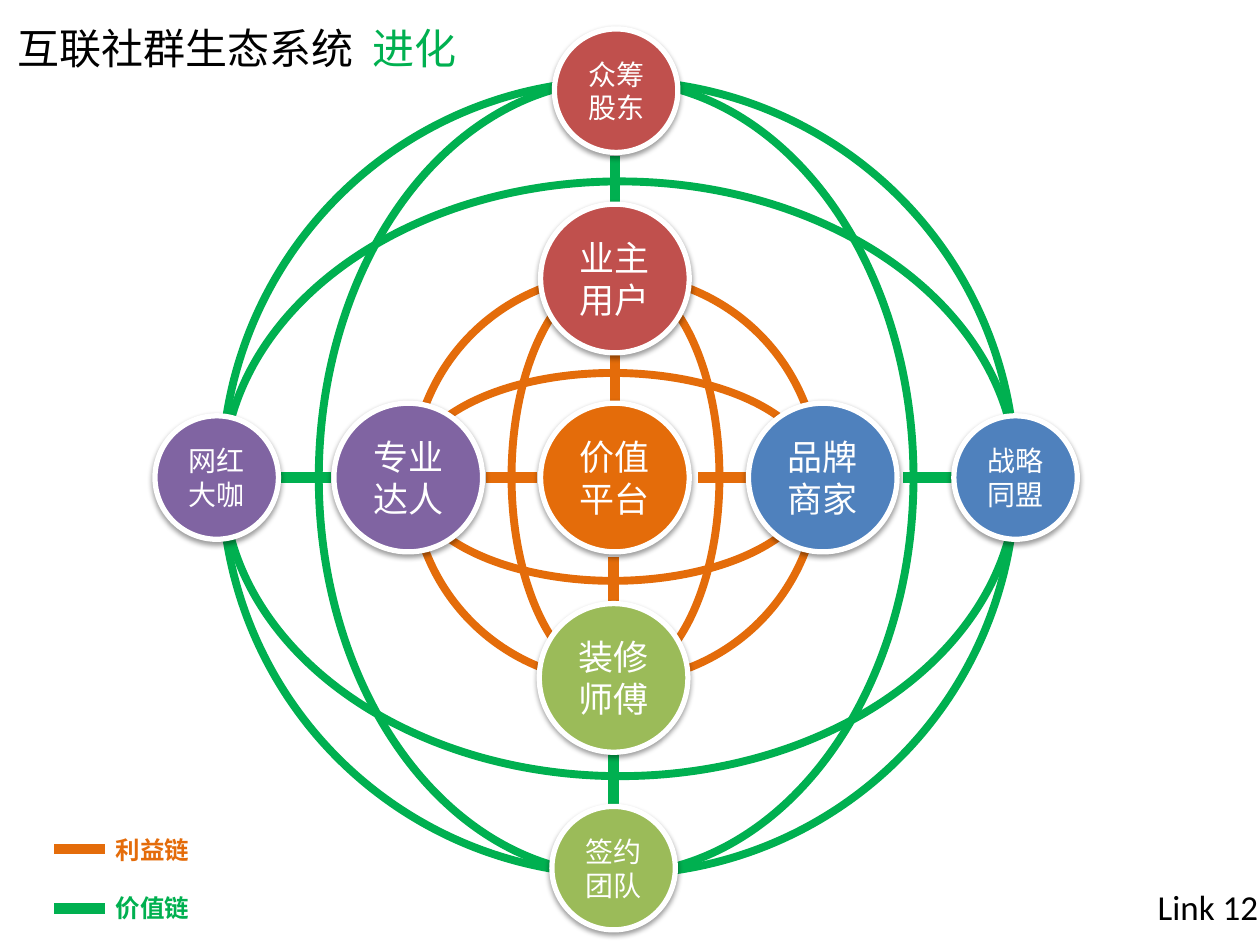
from lxml import etree
from pptx import Presentation
from pptx.dml.color import RGBColor
from pptx.enum.shapes import MSO_CONNECTOR, MSO_SHAPE
from pptx.enum.text import MSO_ANCHOR, MSO_AUTO_SIZE, PP_ALIGN
from pptx.oxml.ns import qn
from pptx.util import Inches, Pt

LINE = MSO_CONNECTOR.STRAIGHT
OVAL = MSO_SHAPE.OVAL
MIDDLE = MSO_ANCHOR.MIDDLE
CENTER = PP_ALIGN.CENTER
GROW = MSO_AUTO_SIZE.SHAPE_TO_FIT_TEXT

BLACK = RGBColor(0x00, 0x00, 0x00)
WHITE = RGBColor(0xFF, 0xFF, 0xFF)
ORANGE = RGBColor(0xE4, 0x6C, 0x0A)
GREEN = RGBColor(0x00, 0xB0, 0x50)
RED = RGBColor(0xC0, 0x50, 0x4D)
LIME = RGBColor(0x9B, 0xBB, 0x59)
PURPLE = RGBColor(0x80, 0x64, 0xA2)
BLUE = RGBColor(0x4F, 0x81, 0xBD)

HAN = "Noto Sans CJK SC"
LATIN = "Calibri"
LINK = 0.4           # length of every short link
BIG, SMALL = 1.18, 0.98  # node diameters

# Left, top, width, height, colour
RINGS = [
    (3.27, 2.18, 3.23, 3.23, ORANGE),
    (4.06, 2.17, 1.65, 3.23, ORANGE),
    (3.25, 2.96, 3.23, 1.65, ORANGE),
    (1.76, 0.64, 6.3, 6.3, GREEN),
    (1.77, 1.44, 6.3, 4.72, GREEN),
    (2.53, 0.64, 4.72, 6.3, GREEN),
]
# Left, top, diameter, text size, fill, text
NODES = [
    (4.29, 3.2, BIG, 20, ORANGE, "价值平台"),
    (4.29, 1.62, BIG, 20, RED, "业主用户"),
    (4.28, 4.79, BIG, 20, LIME, "装修师傅"),
    (2.65, 3.2, BIG, 20, PURPLE, "专业达人"),
    (5.94, 3.2, BIG, 20, BLUE, "品牌商家"),
    (4.4, 0.23, SMALL, 16, RED, "众筹股东"),
    (4.38, 6.4, SMALL, 16, LIME, "签约团队"),
    (7.57, 3.3, SMALL, 16, BLUE, "战略同盟"),
    (1.23, 3.3, SMALL, 16, PURPLE, "网红大咖"),
]
# Start of each link
ACROSS = [(3.86, 3.79, ORANGE), (5.54, 3.79, ORANGE),
          (2.23, 3.79, GREEN), (7.17, 3.79, GREEN)]
DOWN = [(4.88, 2.82, ORANGE), (4.87, 4.42, ORANGE),
        (4.88, 1.24, GREEN), (4.87, 5.99, GREEN)]
# Line height, label top, colour, text
LEGEND = [(6.74, 6.58, ORANGE, "利益链"), (7.21, 7.04, GREEN, "价值链")]


def add_run(para, text, size, color, font=HAN, bold=False):
    run = para.add_run()
    run.text = text
    run.font.size = Pt(size)
    run.font.bold = bold
    run.font.color.rgb = color
    run.font.name = font
    east = etree.SubElement(run.font._element, qn("a:ea"))
    east.set("typeface", font)


def add_label(slide, box, text, size, color, font=HAN, bold=False, wrap=False):
    frame = slide.shapes.add_textbox(*map(Inches, box)).text_frame
    frame.word_wrap = wrap
    frame.auto_size = GROW
    add_run(frame.paragraphs[0], text, size, color, font, bold)


def add_link(slide, x, y, color, dx=0, dy=0):
    link = slide.shapes.add_connector(
        LINE, Inches(x), Inches(y), Inches(x + dx), Inches(y + dy))
    link.line.color.rgb = color
    link.line.width = Pt(6)
    etree.SubElement(link._element.spPr, qn("a:effectLst"))


def add_oval(slide, box, color, width):
    oval = slide.shapes.add_shape(OVAL, *map(Inches, box))
    oval.shadow.inherit = False
    oval.line.color.rgb = color
    oval.line.width = Pt(width)
    return oval


def add_ring(slide, x, y, w, h, color):
    add_oval(slide, (x, y, w, h), color, 4.5).fill.background()


def add_shade(shape):
    """Soft black shadow straight below the shape."""
    effects = shape._element.spPr.find(qn("a:effectLst"))
    shade = etree.SubElement(
        effects, qn("a:outerShdw"), blurRad=str(Pt(3.1)), dist=str(Pt(1.6)),
        dir="5400000", rotWithShape="0")
    tint = etree.SubElement(shade, qn("a:srgbClr"), val=str(BLACK))
    etree.SubElement(tint, qn("a:alpha"), val="38000")


def add_node(slide, x, y, size, points, fill, text):
    node = add_oval(slide, (x, y, size, size), WHITE, 3)
    node.fill.solid()
    node.fill.fore_color.rgb = fill
    add_shade(node)
    frame = node.text_frame
    frame.word_wrap = True
    frame.vertical_anchor = MIDDLE
    para = frame.paragraphs[0]
    para.alignment = CENTER
    add_run(para, text, points, WHITE)


def main():
    deck = Presentation()
    deck.slide_width, deck.slide_height = Inches(10), Inches(7.5)
    slide = deck.slides.add_slide(deck.slide_layouts[6])

    # Title and page mark
    add_label(slide, (0.04, 0.13, 2.89, 0.5), "互联社群生态系统", 24, BLACK)
    add_label(slide, (2.86, 0.13, 0.88, 0.5), "进化", 24, GREEN)
    add_label(slide, (9.09, 6.98, 2.44, 0.44), "Link 12", 20, BLACK,
              font=LATIN, wrap=True)

    # Links, then rings, then nodes on top
    for x, y, color in ACROSS:
        add_link(slide, x, y, color, dx=LINK)
    for x, y, color in DOWN:
        add_link(slide, x, y, color, dy=LINK)
    for ring in RINGS:
        add_ring(slide, *ring)
    for node in NODES:
        add_node(slide, *node)

    # Legend
    for y, top, color, text in LEGEND:
        add_link(slide, 0.43, y, color, dx=LINK)
        add_label(slide, (0.82, top, 0.79, 0.34), text, 14, color, bold=True)

    deck.save("out.pptx")


if __name__ == "__main__":
    main()
